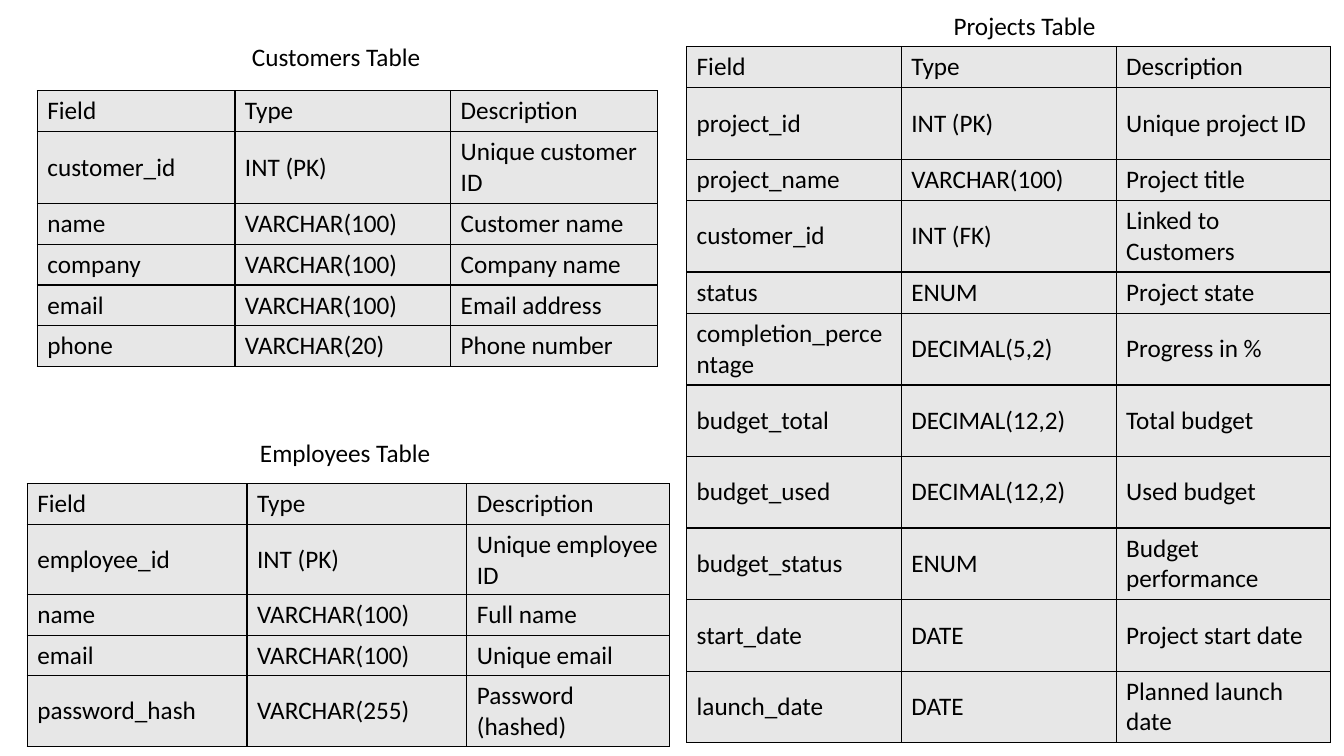
from dataclasses import dataclass

from lxml.etree import SubElement
from pptx import Presentation
from pptx.dml.color import RGBColor
from pptx.enum.text import MSO_ANCHOR, MSO_AUTO_SIZE
from pptx.oxml.ns import qn
from pptx.util import Pt

EMU_PER_PX = 9144


@dataclass(frozen=True)
class Theme:
    """Hold the colours and type sizes of the slide."""

    ink: str = "000000"
    cell: str = "E7E7E7"
    font: str = "Calibri"
    size: int = 18
    border: int = 1


THEME = Theme()
HEADER = ("Field", "Type", "Description")

CUSTOMERS = (
    ("customer_id", "INT (PK)", "Unique customer ID"),
    ("name", "VARCHAR(100)", "Customer name"),
    ("company", "VARCHAR(100)", "Company name"),
    ("email", "VARCHAR(100)", "Email address"),
    ("phone", "VARCHAR(20)", "Phone number"),
)
EMPLOYEES = (
    ("employee_id", "INT (PK)", "Unique employee ID"),
    ("name", "VARCHAR(100)", "Full name"),
    ("email", "VARCHAR(100)", "Unique email"),
    ("password_hash", "VARCHAR(255)", "Password (hashed)"),
)
PROJECTS = (
    ("project_id", "INT (PK)", "Unique project ID"),
    ("project_name", "VARCHAR(100)", "Project title"),
    ("customer_id", "INT (FK)", "Linked to Customers"),
    ("status", "ENUM", "Project state"),
    ("completion_percentage", "DECIMAL(5,2)", "Progress in %"),
    ("budget_total", "DECIMAL(12,2)", "Total budget"),
    ("budget_used", "DECIMAL(12,2)", "Used budget"),
    ("budget_status", "ENUM", "Budget performance"),
    ("start_date", "DATE", "Project start date"),
    ("launch_date", "DATE", "Planned launch date"),
)


def px(length):
    """Turn whole px into EMU."""
    return length * EMU_PER_PX


def format_text(text_frame):
    """Apply the theme's type to every run."""
    for paragraph in text_frame.paragraphs:
        for run in paragraph.runs:
            run.font.name = THEME.font
            run.font.size = Pt(THEME.size)
            run.font.bold = False
            run.font.color.rgb = RGBColor.from_string(THEME.ink)


def style_cell(cell):
    """Give a cell its borders, fill, anchor and type."""
    properties = cell._tc.get_or_add_tcPr()
    for side in ("a:lnL", "a:lnR", "a:lnT", "a:lnB"):
        line = SubElement(properties, qn(side), w=str(Pt(THEME.border)))
        SubElement(SubElement(line, qn("a:solidFill")), qn("a:srgbClr"), val=THEME.ink)
    cell.fill.solid()
    cell.fill.fore_color.rgb = RGBColor.from_string(THEME.cell)
    cell.vertical_anchor = MSO_ANCHOR.MIDDLE
    format_text(cell.text_frame)


def add_caption(slide, caption, left, top, width):
    """Place the name of a table."""
    box = slide.shapes.add_textbox(px(left), px(top), px(width), px(40))
    box.text_frame.word_wrap = True
    box.text_frame.auto_size = MSO_AUTO_SIZE.SHAPE_TO_FIT_TEXT
    box.text_frame.text = caption
    format_text(box.text_frame)


def add_schema(slide, fields, left, top, widths, tall_rows, row_height):
    """Place a field table whose tall rows hold two lines of text."""
    rows = (HEADER, *fields)
    heights = [row_height + 30 * (index in tall_rows) for index in range(len(rows))]
    schema = slide.shapes.add_table(
        len(rows), len(HEADER), px(left), px(top), px(sum(widths)), px(sum(heights))
    ).table
    schema.first_row = schema.horz_banding = False
    for column, width in zip(schema.columns, widths):
        column.width = px(width)
    for row, height, values in zip(schema.rows, heights, rows):
        row.height = px(height)
        for cell, value in zip(row.cells, values):
            cell.text = value
            style_cell(cell)


def main():
    """Build the slide of three database tables."""
    deck = Presentation()
    deck.slide_width, deck.slide_height = px(1333), px(750)
    slide = deck.slides.add_slide(deck.slide_layouts[6])

    add_schema(slide, CUSTOMERS, 37, 90, (196, 214, 205), {1}, 40)
    add_caption(slide, "Customers Table", 240, 36, 259)
    add_schema(slide, EMPLOYEES, 27, 480, (218, 218, 201), {1, 4}, 40)
    add_caption(slide, "Employees Table", 248, 429, 259)
    add_schema(slide, PROJECTS, 681, 46, (213,) * 3, {1, 3, *range(5, 11)}, 41)
    add_caption(slide, "Projects Table", 936, 5, 347)

    deck.save("out.pptx")


if __name__ == "__main__":
    main()
